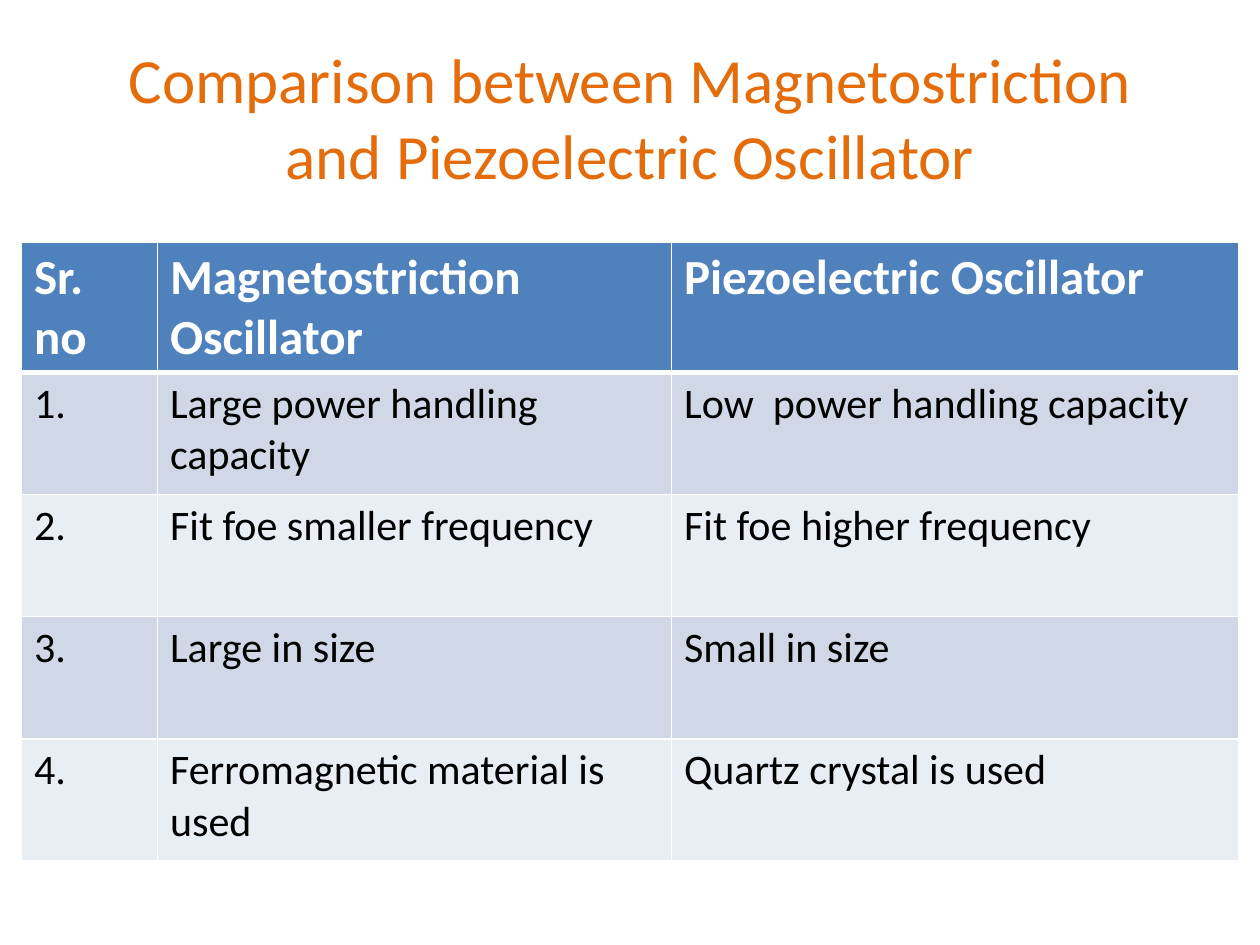
"""Build a slide that compares two kinds of oscillator in a table."""
import dataclasses
import typing

import pptx
import pptx.dml.color
import pptx.enum.text
import pptx.oxml
import pptx.oxml.ns
import pptx.util

Inches = pptx.util.Inches
Pt = pptx.util.Pt
RGB = pptx.dml.color.RGBColor.from_string


@dataclasses.dataclass(frozen=True)
class Theme:
    font: str = "Calibri"
    title: str = "E46C0A"
    head: str = "4F81BD"
    bands: tuple[str, str] = ("D0D8E8", "E9EDF4")
    white: str = "FFFFFF"
    black: str = "000000"
    title_size: int = 36
    head_size: int = 28
    body_size: int = 24
    thin: int = 1
    thick: int = 3


class Row(typing.NamedTuple):
    label: str
    magnet: str
    piezo: str


THEME = Theme()
TITLE = "Comparison between Magnetostriction and Piezoelectric Oscillator"
ROWS = [
    Row("Sr. no", "Magnetostriction Oscillator", "Piezoelectric Oscillator"),
    Row("1.", "Large power handling capacity", "Low  power handling capacity"),
    Row("2.", "Fit foe smaller frequency", "Fit foe higher frequency"),
    Row("3.", "Large in size", "Small in size"),
    Row("4.", "Ferromagnetic material is used", "Quartz crystal is used"),
]
WIDTHS = (1.08, 4.08, 4.5)
HEIGHT = 0.97


def style(para, size: int, color: str, bold: bool = False) -> None:
    font = para.font
    font.name, font.size, font.bold = THEME.font, Pt(size), bold
    font.color.rgb = RGB(color)


def border(cell, side: str, width: int) -> None:
    space = pptx.oxml.ns.nsdecls("a")
    line = (
        f'<a:ln{side} {space} w="{Pt(width)}"><a:solidFill>'
        f'<a:srgbClr val="{THEME.white}"/></a:solidFill></a:ln{side}>'
    )
    cell._tc.get_or_add_tcPr().append(pptx.oxml.parse_xml(line))


def draw_cell(cell, text: str, index: int) -> None:
    head = index == 0
    for side in "LRTB":
        edge = (head and side == "B") or (index == 1 and side == "T")
        border(cell, side, THEME.thick if edge else THEME.thin)
    cell.fill.solid()
    cell.fill.fore_color.rgb = RGB(THEME.head if head else THEME.bands[(index - 1) % 2])
    cell.text = text
    size = THEME.head_size if head else THEME.body_size
    style(cell.text_frame.paragraphs[0], size, THEME.white if head else THEME.black, head)


def draw_title(slide) -> None:
    box = slide.shapes.add_textbox(Inches(0.5), Inches(0.3), Inches(9), Inches(1.25))
    frame = box.text_frame
    frame.word_wrap = True
    frame.vertical_anchor = pptx.enum.text.MSO_ANCHOR.MIDDLE
    para = frame.paragraphs[0]
    para.text = TITLE
    para.alignment = pptx.enum.text.PP_ALIGN.CENTER
    style(para, THEME.title_size, THEME.title)


def draw_table(slide) -> None:
    table = slide.shapes.add_table(
        len(ROWS), len(WIDTHS), Inches(0.17), Inches(1.92),
        Inches(sum(WIDTHS)), Inches(HEIGHT * len(ROWS)),
    ).table
    for col, width in zip(table.columns, WIDTHS):
        col.width = Inches(width)
    for index, row in enumerate(ROWS):
        table.rows[index].height = Inches(HEIGHT)
        for cell, text in zip(table.rows[index].cells, row):
            draw_cell(cell, text, index)


def main() -> None:
    deck = pptx.Presentation()
    deck.slide_width, deck.slide_height = Inches(10), Inches(7.5)
    slide = deck.slides.add_slide(deck.slide_layouts[6])
    draw_title(slide)
    draw_table(slide)
    deck.save("out.pptx")


if __name__ == "__main__":
    main()
